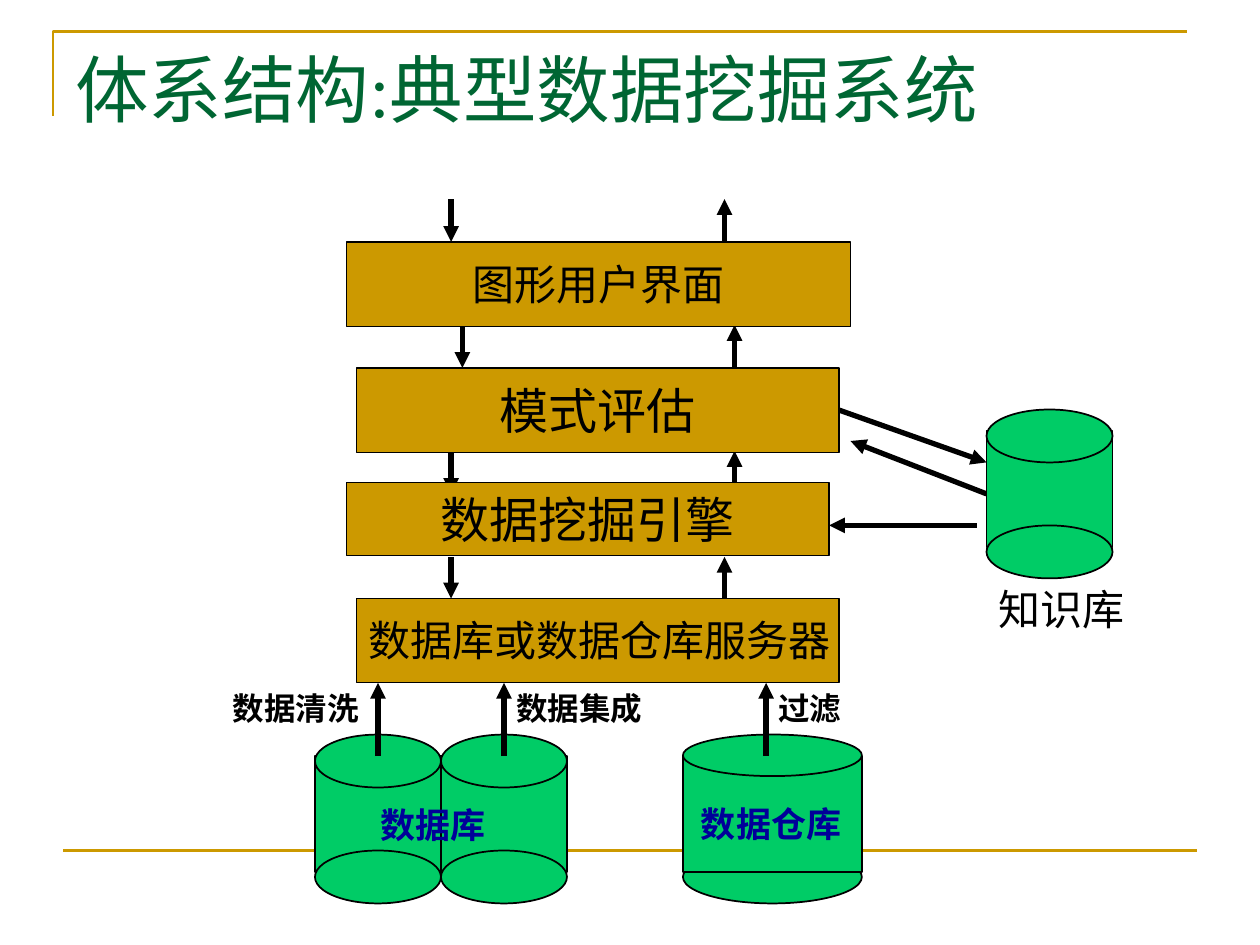
"""Build a slide showing the architecture of a typical data mining system."""
from pptx import Presentation
from pptx.dml.color import RGBColor
from pptx.enum.shapes import MSO_CONNECTOR as Line, MSO_SHAPE as Shape
from pptx.enum.text import MSO_ANCHOR as Anchor, PP_ALIGN as Align
from pptx.oxml.ns import qn
from pptx.util import Inches, Pt
from lxml.etree import SubElement

GOLD = RGBColor(0xCC, 0x99, 0x00)
GREEN = RGBColor(0x00, 0xCC, 0x66)
DARK_GREEN = RGBColor(0x00, 0x66, 0x33)
NAVY = RGBColor(0x00, 0x00, 0x99)
BLACK = RGBColor(0x00, 0x00, 0x00)
SERIF = "Times New Roman"
SANS = "Roboto"


class Diagram:
    """Hold the style and the current page, and draw each kind of element."""

    def __init__(self, page):
        self.shapes = page.shapes

    def format_text(self, frame, text, size, font, color=BLACK, bold=None, align=None):
        frame.text = text
        para = frame.paragraphs[0]
        para.alignment = align
        span = para.runs[0].font
        span.name, span.size, span.bold = font, Pt(size), bold
        span.color.rgb = color
        return para

    def label(self, text, left, top, width, height, size, font=SERIF, **style):
        box = self.shapes.add_textbox(Inches(left), Inches(top), Inches(width), Inches(height))
        box.text_frame.word_wrap = True
        return self.format_text(box.text_frame, text, size, font, **style)

    def solid(self, kind, left, top, width, height, fill=GREEN, weight=1):
        shape = self.shapes.add_shape(kind, Inches(left), Inches(top), Inches(width), Inches(height))
        shape.shadow.inherit = False
        shape.fill.solid()
        shape.fill.fore_color.rgb = fill
        shape.line.color.rgb = BLACK
        shape.line.width = Pt(weight)
        return shape

    def module(self, left, top, width, height, text=None, size=28):
        box = self.solid(Shape.RECTANGLE, left, top, width, height, GOLD, 0.75)
        if text:
            frame = box.text_frame
            frame.word_wrap = False
            frame.vertical_anchor = Anchor.MIDDLE
            self.format_text(frame, text, size, SANS, align=Align.CENTER)
        return box

    def cylinder(self, left, top, width=1, lid=0.42, base_first=False):
        body = (Shape.RECTANGLE, top + 0.17, 0.92)
        base = (Shape.OVAL, top + 0.92, 0.42)
        parts = [base, body] if base_first else [body, base]
        for kind, part_top, height in parts + [(Shape.OVAL, top, lid)]:
            self.solid(kind, left, part_top, width, height)

    def line(self, start, end, color=BLACK, weight=3.0):
        line = self.shapes.add_connector(Line.STRAIGHT, *map(Inches, start + end))
        line.line.color.rgb = color
        line.line.width = Pt(weight)
        SubElement(line._element.spPr, qn("a:effectLst"))
        return line

    def arrow(self, start, end):
        arrow = self.line(start, end)
        SubElement(arrow.line._get_or_add_ln(), qn("a:tailEnd"), type="triangle")
        return arrow

    def corner(self, left, top, right, bottom):
        builder = self.shapes.build_freeform(Inches(left), Inches(bottom))
        builder.add_line_segments(
            [(Inches(left), Inches(top)), (Inches(right), Inches(top))], close=False)
        frame = builder.convert_to_shape()
        frame.shadow.inherit = False
        frame.fill.background()
        frame.line.color.rgb = GOLD
        frame.line.width = Pt(1.5)


def main():
    deck = Presentation()
    deck.slide_width, deck.slide_height = Inches(10), Inches(7.5)
    diagram = Diagram(deck.slides.add_slide(deck.slide_layouts[6]))

    diagram.corner(0.42, 0.25, 9.42, 0.92)
    diagram.line((0.5, 6.75), (9.5, 6.75), GOLD, 1.5)
    diagram.label("体系结构:典型数据挖掘系统", 0.5, 0.3, 9, 1.25, 42, color=DARK_GREEN)

    for left in (3.5, 2.5):
        diagram.cylinder(left, 5.83)
    diagram.cylinder(5.42, 5.83, width=1.42, lid=0.33, base_first=True)
    diagram.label("数据库", 2.92, 6.33, 1.17, 0.44, 20, color=NAVY, bold=True)
    diagram.label("数据仓库", 5.33, 6.32, 1.58, 0.44, 20,
                  color=NAVY, bold=True, align=Align.CENTER)

    for x in (3, 4, 6.08):
        diagram.arrow((x, 6), (x, 5.42))
    for text, left in (("数据清洗", 1.75), ("数据集成", 4), ("过滤", 6.08)):
        diagram.label(text, left, 5.42, 1.25, 0.4, 18, bold=True)

    for down, up, top, bottom in ((3.58, 5.75, 1.58, 1.92), (3.67, 5.83, 2.58, 2.92),
                                  (3.58, 5.83, 3.58, 3.92), (3.58, 5.75, 4.42, 4.75)):
        diagram.arrow((down, top), (down, bottom))
        diagram.arrow((up, bottom), (up, top))

    diagram.module(2.83, 4.75, 3.83, 0.67)
    server = diagram.label("数据库或数据仓库服务器", 2.83, 4.87, 4, 0.46, 24, SANS)
    server.line_spacing = 0.9
    diagram.module(2.75, 3.83, 3.83, 0.58, "数据挖掘引擎")
    evaluation = diagram.module(2.83, 2.92, 3.83, 0.67, "模式评估")
    diagram.module(2.75, 1.92, 4, 0.67, "图形用户界面", 24)

    diagram.arrow((6.67, 3.25), (7.83, 3.67)).begin_connect(evaluation, 3)
    diagram.arrow((7.83, 3.92), (6.75, 3.5))
    diagram.arrow((7.75, 4.17), (6.58, 4.17))
    diagram.cylinder(7.83, 3.25)
    diagram.label("知识库", 7.83, 4.58, 1.33, 0.5, 24, SANS)

    deck.save("out.pptx")


if __name__ == "__main__":
    main()
